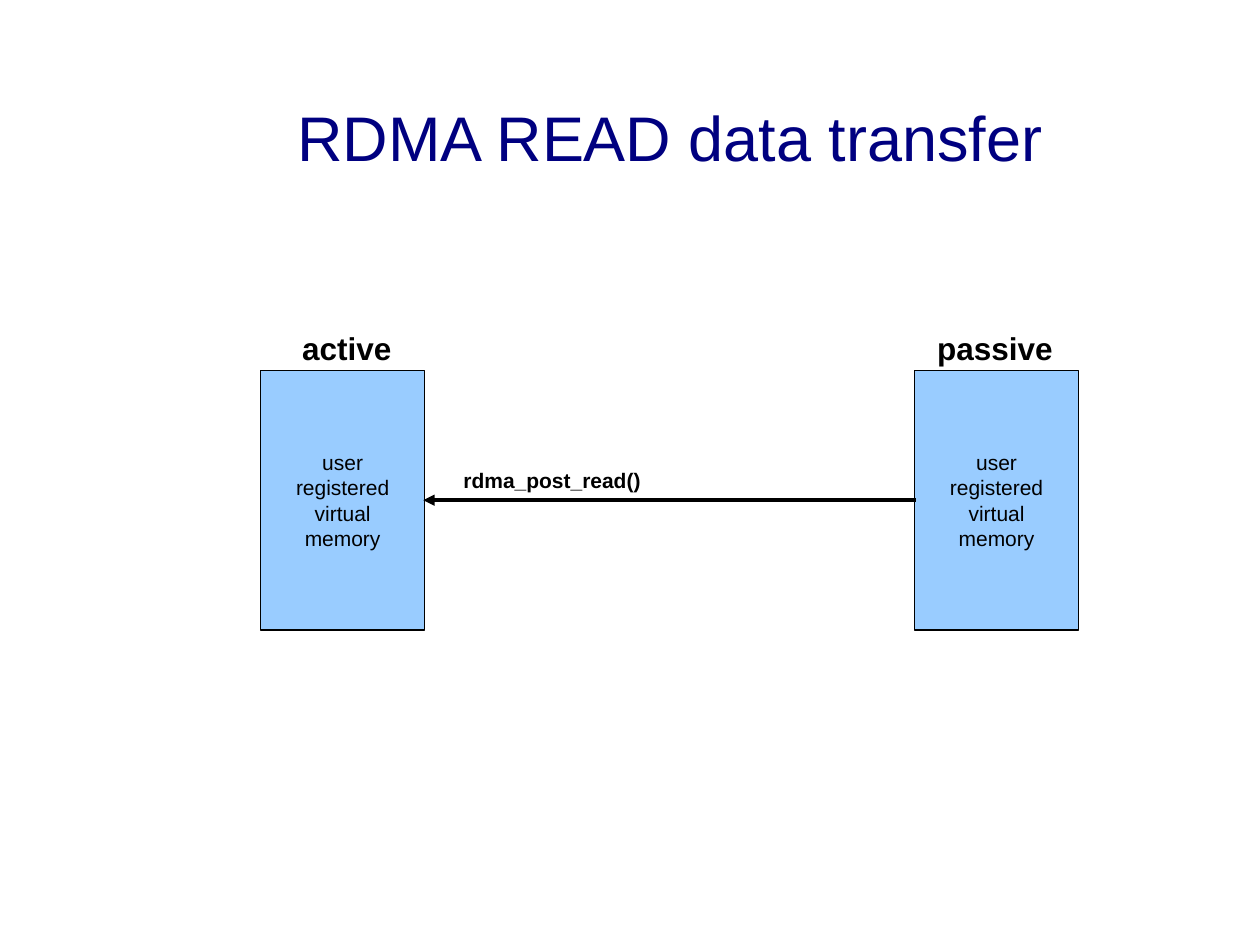
from lxml.etree import SubElement
from pptx import Presentation
from pptx.dml.color import RGBColor
from pptx.enum.shapes import MSO_CONNECTOR as Connector, MSO_SHAPE as Shape
from pptx.enum.text import MSO_ANCHOR as Anchor, PP_ALIGN as Align
from pptx.oxml.ns import qn
from pptx.util import Inches, Pt

COLORS = {"title": "000080", "ink": "000000", "memory": "99CCFF"}
COLUMNS, ROWS, CELL = 100, 75, 0.1
MEMORY_TOP, MEMORY_WIDTH, MEMORY_HEIGHT = 29.4, 13, 20.6
ACTIVE_LEFT, PASSIVE_LEFT = 20.7, 72.6
MEMORY_LINES = ["user", "registered", "virtual", "memory"]


def color(name):
    """Return a palette colour by name."""
    return RGBColor.from_string(COLORS[name])


def grid(*cells):
    """Turn grid columns and rows into slide lengths."""
    return [Inches(cell * CELL) for cell in cells]


def style(para, size, ink="ink", bold=False):
    """Set the font of a whole paragraph."""
    font = para.font
    font.name, font.size, font.bold = "Arial", Pt(size), bold
    font.color.rgb = color(ink)


def add_label(page, text, place, size, ink="ink", bold=True):
    """Add one line of left-aligned text."""
    frame = page.shapes.add_textbox(*grid(*place)).text_frame
    frame.word_wrap = True
    frame.text = text
    style(frame.paragraphs[0], size, ink, bold)


def add_memory(page, left):
    """Add a memory block with its centred caption."""
    box = page.shapes.add_shape(
        Shape.RECTANGLE, *grid(left, MEMORY_TOP, MEMORY_WIDTH, MEMORY_HEIGHT))
    box.shadow.inherit = False
    box.fill.solid()
    box.fill.fore_color.rgb = color("memory")
    box.line.color.rgb = color("ink")
    box.line.width = Pt(0.75)
    frame = box.text_frame
    frame.word_wrap = True
    frame.vertical_anchor = Anchor.MIDDLE
    frame.text = "\n".join(MEMORY_LINES)
    for para in frame.paragraphs:
        para.alignment = Align.CENTER
        style(para, 12)


def add_arrow(page, start, end, row):
    """Add a horizontal arrow pointing at the end column."""
    arrow = page.shapes.add_connector(
        Connector.STRAIGHT, *grid(start, row, end, row))
    arrow.line.color.rgb = color("ink")
    arrow.line.width = Pt(2.15)
    SubElement(arrow.line._get_or_add_ln(), qn("a:tailEnd"), type="triangle")
    SubElement(arrow._element.spPr, qn("a:effectLst"))


def main():
    """Build the data transfer slide."""
    deck = Presentation()
    deck.slide_width, deck.slide_height = grid(COLUMNS, ROWS)
    page = deck.slides.add_slide(deck.slide_layouts[6])
    for left in (ACTIVE_LEFT, PASSIVE_LEFT):
        add_memory(page, left)
    add_label(page, "rdma_post_read()", (35.8, 36.6, 20.9, 3), 12)
    add_label(page, "active", (23, 25.6, 11.7, 4), 18)
    add_label(page, "passive", (73.4, 25.6, 14.4, 4), 18)
    add_label(page, "RDMA READ data transfer", (22.6, 7.3, 77.4, 7), 36,
              "title", bold=False)
    add_arrow(page, PASSIVE_LEFT + 0.1, ACTIVE_LEFT + MEMORY_WIDTH - 0.1,
              MEMORY_TOP + MEMORY_HEIGHT / 2)
    deck.save("out.pptx")


if __name__ == "__main__":
    main()
